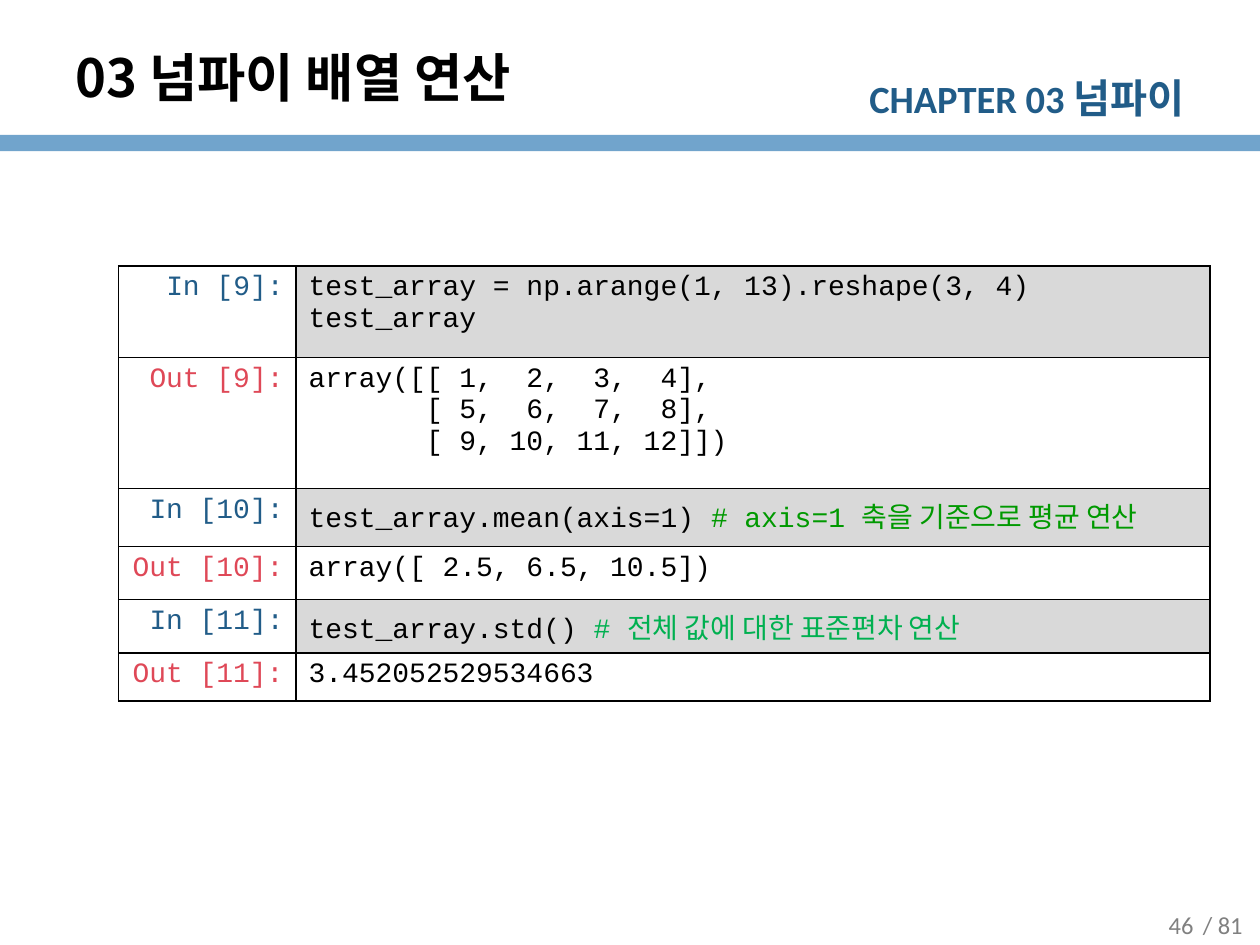
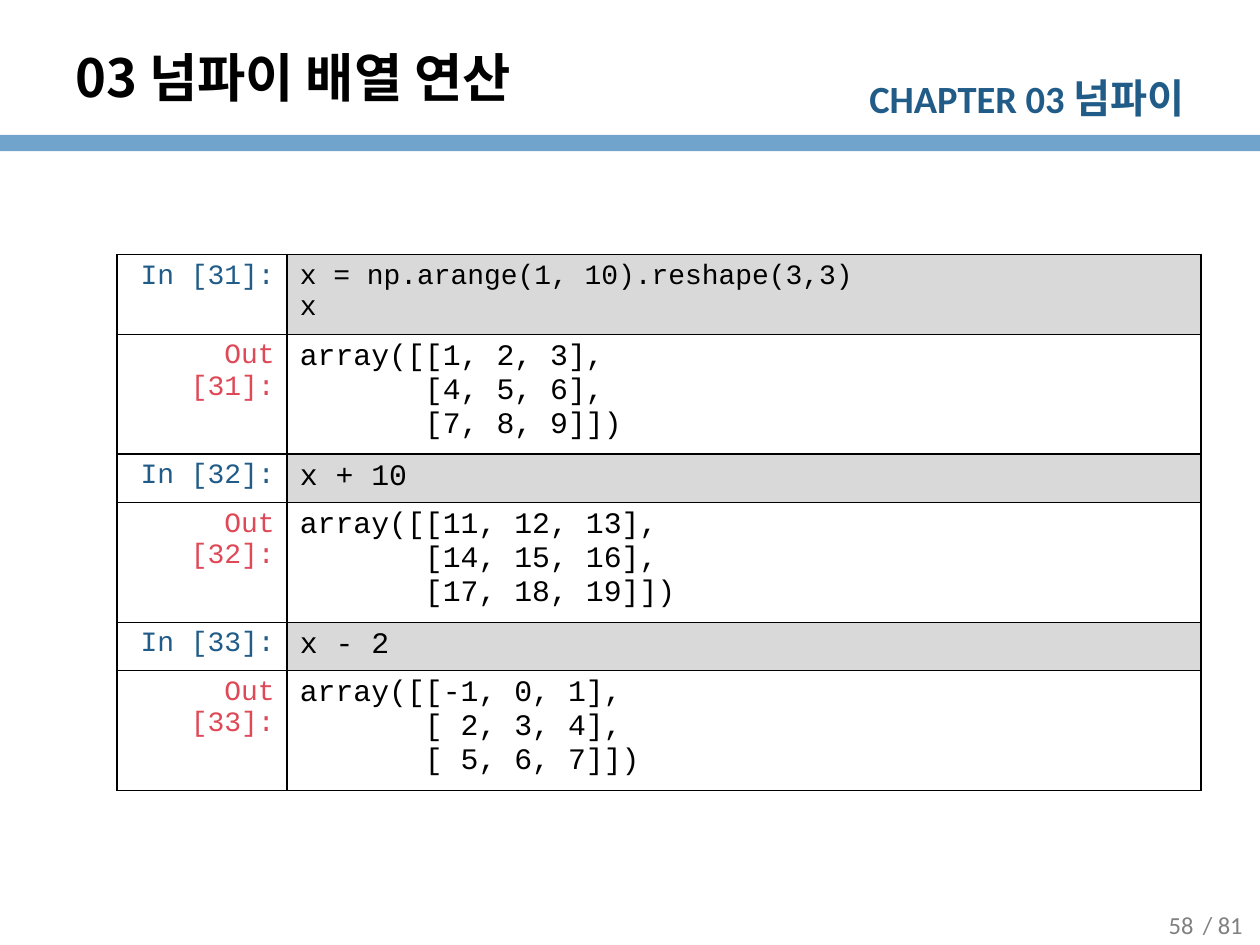
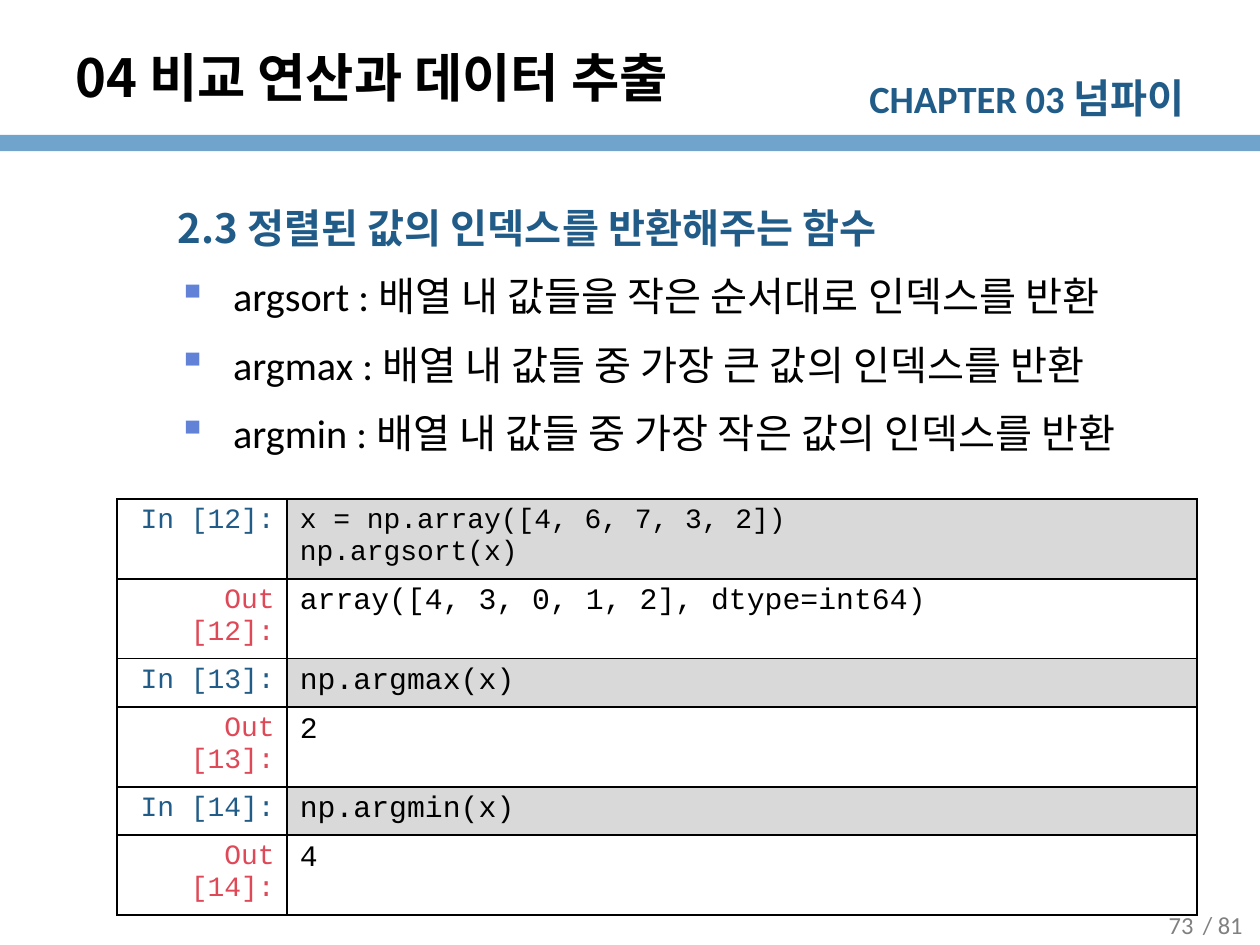
import lxml.etree
import pptx
import pptx.dml.color
import pptx.enum.shapes
import pptx.enum.text
import pptx.oxml.ns
import pptx.util

Cm = pptx.util.Cm
Pt = pptx.util.Pt
ALIGN = pptx.enum.text.PP_ALIGN
ANCHOR = pptx.enum.text.MSO_ANCHOR
qn = pptx.oxml.ns.qn

BLACK, NAVY, RED, GRAY = "000000", "215C88", "DF4857", "808080"
BAND, CODE_FILL, BULLET = "71A4CC", "D9D9D9", "6182D6"
COMMENT, BRIGHT_COMMENT = "009900", "00B050"
LATIN, CODE, KOREAN = "Calibri", "Courier New", "Noto Sans CJK KR"


def color(value):
    """Turn a hex string into a colour."""
    return pptx.dml.color.RGBColor.from_string(value)


def add_element(parent, tag, **attributes):
    """Append a DrawingML element and return it."""
    return lxml.etree.SubElement(parent, qn(tag), attributes)


class Deck:
    """Hold the shared style and the current slide."""

    def __init__(self):
        """Start an empty 4:3 presentation."""
        self.presentation = pptx.Presentation()
        self.presentation.slide_width = Cm(25.4)
        self.presentation.slide_height = Cm(19.05)
        self.slide = None

    def add_run(self, paragraph, text, size, font, hex_color, bold=False):
        """Add one styled run with a Korean companion font."""
        run = paragraph.add_run()
        run.text = text
        run.font.size = Pt(size)
        run.font.name = font
        run.font.bold = bold
        run.font.color.rgb = color(hex_color)
        add_element(run.font._element, "a:ea", typeface=KOREAN)

    def add_text_box(self, left, top, width, height, anchor=ANCHOR.TOP, align=ALIGN.LEFT):
        """Add a wrapping text box and return its frame."""
        box = self.slide.shapes.add_textbox(Cm(left), Cm(top), Cm(width), Cm(height))
        frame = box.text_frame
        frame.word_wrap = True
        frame.vertical_anchor = anchor
        frame.paragraphs[0].alignment = align
        return frame

    def add_band(self):
        """Draw the band below the header."""
        band = self.slide.shapes.add_shape(
            pptx.enum.shapes.MSO_SHAPE.RECTANGLE, 0, Cm(2.72), self.presentation.slide_width, Cm(0.33))
        band.shadow.inherit = False
        band.fill.solid()
        band.fill.fore_color.rgb = color(BAND)
        band.line.fill.background()

    def add_slide(self, title, page):
        """Start a slide with its header, title and page number."""
        self.slide = self.presentation.slides.add_slide(self.presentation.slide_layouts[6])
        self.add_band()
        chapter = self.add_text_box(16.81, 1.35, 7.32, 1.22, align=ALIGN.RIGHT).paragraphs[0]
        self.add_run(chapter, "CHAPTER 03 ", 22, LATIN, NAVY, True)
        self.add_run(chapter, "넘파이", 23, LATIN, NAVY, True)
        for left, text in ((23.75, "/ 81"), (22.91, page)):
            footer = self.add_text_box(left, 18.14, 1.8, 0.99, ANCHOR.MIDDLE, ALIGN.CENTER)
            self.add_run(footer.paragraphs[0], text, 14, LATIN, GRAY)
        heading = self.add_text_box(1.27, 0.76, 19.89, 1.57, ANCHOR.MIDDLE)
        self.add_run(heading.paragraphs[0], title, 30, KOREAN, BLACK, True)

    def add_bullets(self, heading, items):
        """Add a section heading and its bulleted lines."""
        frame = self.add_text_box(1.27, 3.73, 22.86, 14.33)
        for index, text in enumerate([heading] + items):
            paragraph = frame.paragraphs[0] if index == 0 else frame.add_paragraph()
            paragraph.line_spacing = 1.25
            paragraph.space_before = Pt(4.6)
            properties = paragraph._p.get_or_add_pPr()
            if index == 0:
                properties.set("marL", str(Cm(2.06)))
                self.add_run(paragraph, text, 23, KOREAN, NAVY, True)
                continue
            properties.set("marL", str(Cm(3.18)))
            properties.set("indent", str(Cm(-1.12)))
            bullet_color = add_element(properties, "a:buClr")
            add_element(bullet_color, "a:srgbClr", val=BULLET)
            add_element(properties, "a:buChar", char="▪")
            self.add_run(paragraph, text, 23, LATIN, BLACK)

    def style_cell(self, cell, fill):
        """Give a cell its borders and fill."""
        properties = cell._tc.get_or_add_tcPr()
        for side in ("a:lnL", "a:lnR", "a:lnT", "a:lnB"):
            line = add_element(properties, side, w=str(Pt(1)))
            add_element(add_element(line, "a:solidFill"), "a:srgbClr", val=BLACK)
        if fill:
            cell.fill.solid()
            cell.fill.fore_color.rgb = color(fill)
        else:
            cell.fill.background()

    def add_notebook(self, left, top, widths, heights, first_number, cells, size=17):
        """Add a table of alternating input and output cells."""
        table = self.slide.shapes.add_table(
            len(cells), 2, Cm(left), Cm(top), Cm(sum(widths)), Cm(sum(heights))).table
        table.first_row = table.horz_banding = False
        for column, width in zip(table.columns, widths):
            column.width = Cm(width)
        for index, (row, height, lines) in enumerate(zip(table.rows, heights, cells)):
            row.height = Cm(height)
            prompt, hex_color, fill = ("Out", RED, None) if index % 2 else ("In", NAVY, CODE_FILL)
            label, content = row.cells
            self.style_cell(label, None)
            self.style_cell(content, fill)
            paragraph = label.text_frame.paragraphs[0]
            paragraph.alignment = ALIGN.RIGHT
            self.add_run(paragraph, f"{prompt} [{first_number + index // 2}]:", 16, CODE, hex_color)
            for number, line in enumerate(lines):
                frame = content.text_frame
                paragraph = frame.add_paragraph() if number else frame.paragraphs[0]
                runs = [(line, BLACK)] if isinstance(line, str) else line
                for text, run_color in runs:
                    self.add_run(paragraph, text, size if index else 16, CODE, run_color)


def main():
    """Build the three slides."""
    deck = Deck()
    deck.add_slide("03 넘파이 배열 연산", "46")
    deck.add_notebook(2.39, 5.36, (3.58, 18.42), (1.85, 2.64, 1.17, 1.07, 1.07, 0.97), 9, [
        ["test_array = np.arange(1, 13).reshape(3, 4)", "test_array"],
        ["array([[ 1,  2,  3,  4],", "       [ 5,  6,  7,  8],", "       [ 9, 10, 11, 12]])"],
        [[("test_array.mean(axis=1) ", BLACK), ("# axis=1 축을 기준으로 평균 연산", COMMENT)]],
        ["array([ 2.5, 6.5, 10.5])"],
        [[("test_array.std() ", BLACK), ("# 전체 값에 대한 표준편차 연산", BRIGHT_COMMENT)]],
        ["3.452052529534663"],
    ], size=16)

    deck.add_slide("03 넘파이 배열 연산", "58")
    deck.add_notebook(2.36, 5.13, (3.43, 18.42), (1.35, 1.57, 0.86, 1.57, 0.86, 1.57), 31, [
        ["x = np.arange(1, 10).reshape(3,3)", "x"],
        ["array([[1, 2, 3],", "       [4, 5, 6],", "       [7, 8, 9]])"],
        ["x + 10"],
        ["array([[11, 12, 13],", "       [14, 15, 16],", "       [17, 18, 19]])"],
        ["x - 2"],
        ["array([[-1, 0, 1],", "       [ 2, 3, 4],", "       [ 5, 6, 7]])"],
    ])

    deck.add_slide("04 비교 연산과 데이터 추출", "73")
    deck.add_bullets("2.3 정렬된 값의 인덱스를 반환해주는 함수", [
        "argsort : 배열 내 값들을 작은 순서대로 인덱스를 반환",
        "argmax : 배열 내 값들 중 가장 큰 값의 인덱스를 반환",
        "argmin : 배열 내 값들 중 가장 작은 값의 인덱스를 반환",
    ])
    deck.add_notebook(2.36, 10.06, (3.43, 18.34), (1.35, 0.84, 0.86, 0.97, 0.86, 0.97), 12, [
        ["x = np.array([4, 6, 7, 3, 2])", "np.argsort(x)"],
        ["array([4, 3, 0, 1, 2], dtype=int64)"],
        ["np.argmax(x)"],
        ["2"],
        ["np.argmin(x)"],
        ["4"],
    ])
    deck.presentation.save("out.pptx")


if __name__ == "__main__":
    main()
